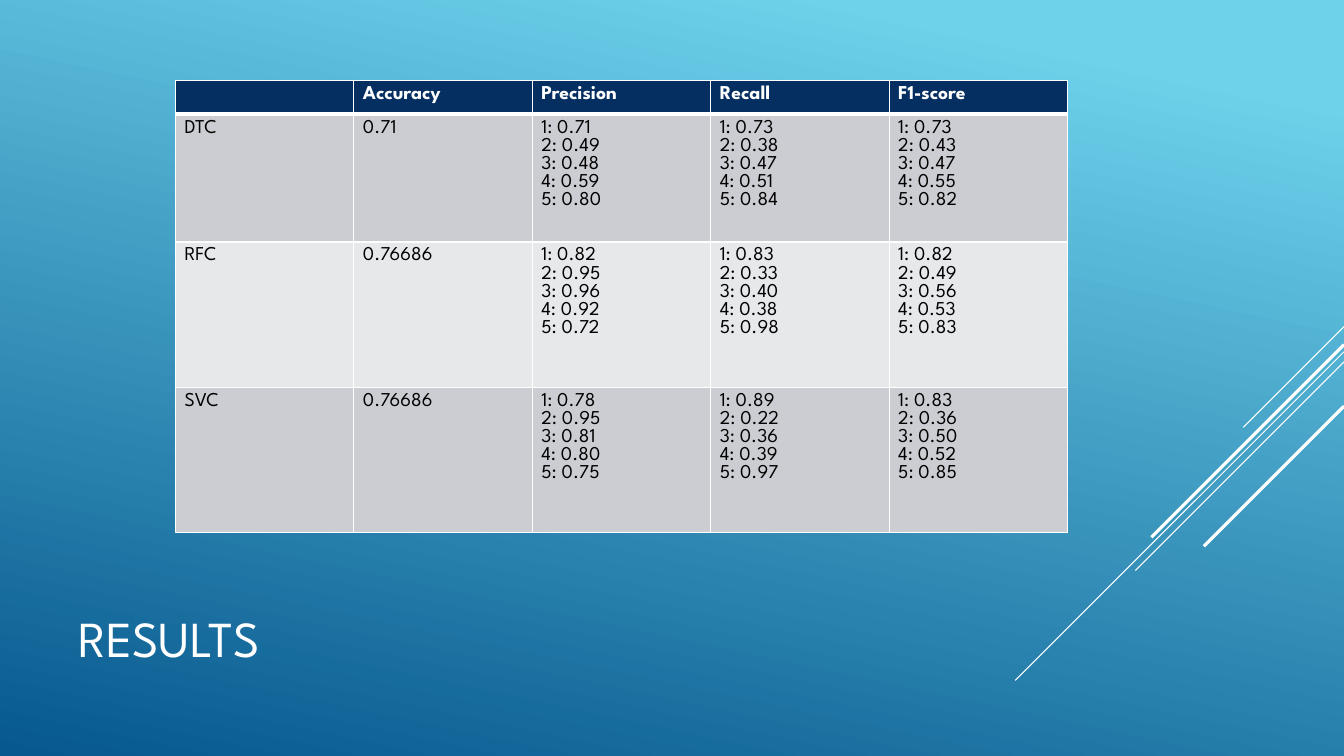
from lxml.etree import SubElement
from pptx import Presentation
from pptx.dml.color import RGBColor
from pptx.enum.shapes import MSO_CONNECTOR
from pptx.enum.text import MSO_ANCHOR
from pptx.oxml.ns import qn
from pptx.util import Inches, Pt

FONT = "League Spartan"
WHITE, BLACK, NAVY = "FFFFFF", "000000", "052F61"
BANDS = ["CCCDD2", "E7E8EA"]
SLIDE_WIDTH, SLIDE_HEIGHT = 13.33, 7.5

HEADERS = ["", "Accuracy", "Precision", "Recall", "F1-score"]
ROW_HEIGHTS = [0.3, 1.21, 1.44, 1.44]
RESULTS = [
    ("DTC", "0.71", ["0.71 0.49 0.48 0.59 0.80", "0.73 0.38 0.47 0.51 0.84",
                     "0.73 0.43 0.47 0.55 0.82"]),
    ("RFC", "0.76686", ["0.82 0.95 0.96 0.92 0.72", "0.83 0.33 0.40 0.38 0.98",
                        "0.82 0.49 0.56 0.53 0.83"]),
    ("SVC", "0.76686", ["0.78 0.95 0.81 0.80 0.75", "0.89 0.22 0.36 0.39 0.97",
                        "0.83 0.36 0.50 0.52 0.85"]),
]
DIAGONALS = [(3.24, 1.0, 0.75), (3.49, 3.26, 0.75), (3.59, 2.07, 0.75),
             (3.42, 1.91, 2.25), (4.03, 1.39, 2.25)]


def color(hex_string):
    """Turn a hex string into a colour."""
    return RGBColor.from_string(hex_string)


def write_text(text_frame, lines, size, hex_string, bold=False):
    """Write one paragraph per line in a shared format."""
    text_frame.text = "\n".join(lines)
    for paragraph in text_frame.paragraphs:
        font = paragraph.font
        for run in paragraph.runs:
            font = run.font
        for name, value in {"name": FONT, "size": Pt(size), "bold": bold}.items():
            setattr(font, name, value)
        font.color.rgb = color(hex_string)


def add_background(slide):
    """Fill the slide with a slanted blue gradient."""
    fill = slide.background.fill
    fill.gradient()
    fill.gradient_angle = 258
    for stop, (position, hex_string) in zip(
            fill.gradient_stops, [(0.1, "6ED2EB"), (1.0, "06588E")]):
        stop.position = position
        stop.color.rgb = color(hex_string)


def add_diagonals(slide, right):
    """Draw 45 degree lines that run down and left from the right edge."""
    for top, reach, width in DIAGONALS:
        line = slide.shapes.add_connector(
            MSO_CONNECTOR.STRAIGHT, Inches(right), Inches(top),
            Inches(right - reach), Inches(top + reach))
        line.line.color.rgb = color(WHITE)
        line.line.width = Pt(width)
        SubElement(line._element.spPr, qn("a:effectLst"))


def add_title(slide, left, top, width, height):
    """Place the slide title, centred vertically in its box."""
    box = slide.shapes.add_textbox(*map(Inches, (left, top, width, height)))
    box.text_frame.word_wrap = True
    box.text_frame.vertical_anchor = MSO_ANCHOR.MIDDLE
    write_text(box.text_frame, ["RESULTS"], 36, WHITE)


def add_borders(cell, widths):
    """Draw white borders on the left, right, top and bottom of a cell."""
    properties = cell._tc.get_or_add_tcPr()
    for side, width in zip("LRTB", widths):
        border = SubElement(properties, qn(f"a:ln{side}"), w=str(Pt(width)))
        fill = SubElement(border, qn("a:solidFill"))
        SubElement(fill, qn("a:srgbClr"), val=WHITE)


def add_results_table(slide, left, top, width):
    """Build the table of scores per classifier."""
    rows = [[[header] for header in HEADERS]]
    for model, accuracy, scores in RESULTS:
        numbered = [[f"{number}: {score}" for number, score in enumerate(group.split(), 1)]
                    for group in scores]
        rows.append([[model], [accuracy], *numbered])
    table = slide.shapes.add_table(
        len(rows), len(HEADERS), Inches(left), Inches(top),
        Inches(width), Inches(sum(ROW_HEIGHTS))).table
    for column in table.columns:
        column.width = Inches(width / len(HEADERS))
    for row_index, row in enumerate(rows):
        is_header = row_index == 0
        table.rows[row_index].height = Inches(ROW_HEIGHTS[row_index])
        for column_index, lines in enumerate(row):
            cell = table.cell(row_index, column_index)
            cell.margin_left = cell.margin_right = Inches(0.09)
            add_borders(cell, [1, 1, 3 if row_index == 1 else 1, 3 if is_header else 1])
            cell.fill.solid()
            cell.fill.fore_color.rgb = color(
                NAVY if is_header else BANDS[(row_index - 1) % 2])
            write_text(cell.text_frame, lines, 14,
                       WHITE if is_header else BLACK, is_header)


def main():
    """Build and save the results slide."""
    presentation = Presentation()
    presentation.slide_width = Inches(SLIDE_WIDTH)
    presentation.slide_height = Inches(SLIDE_HEIGHT)
    slide = presentation.slides.add_slide(presentation.slide_layouts[6])
    add_background(slide)
    add_diagonals(slide, SLIDE_WIDTH)
    add_title(slide, 0.68, 5.5, 9.33, 1.65)
    add_results_table(slide, 1.74, 0.8, 8.85)
    presentation.save("out.pptx")


if __name__ == "__main__":
    main()
